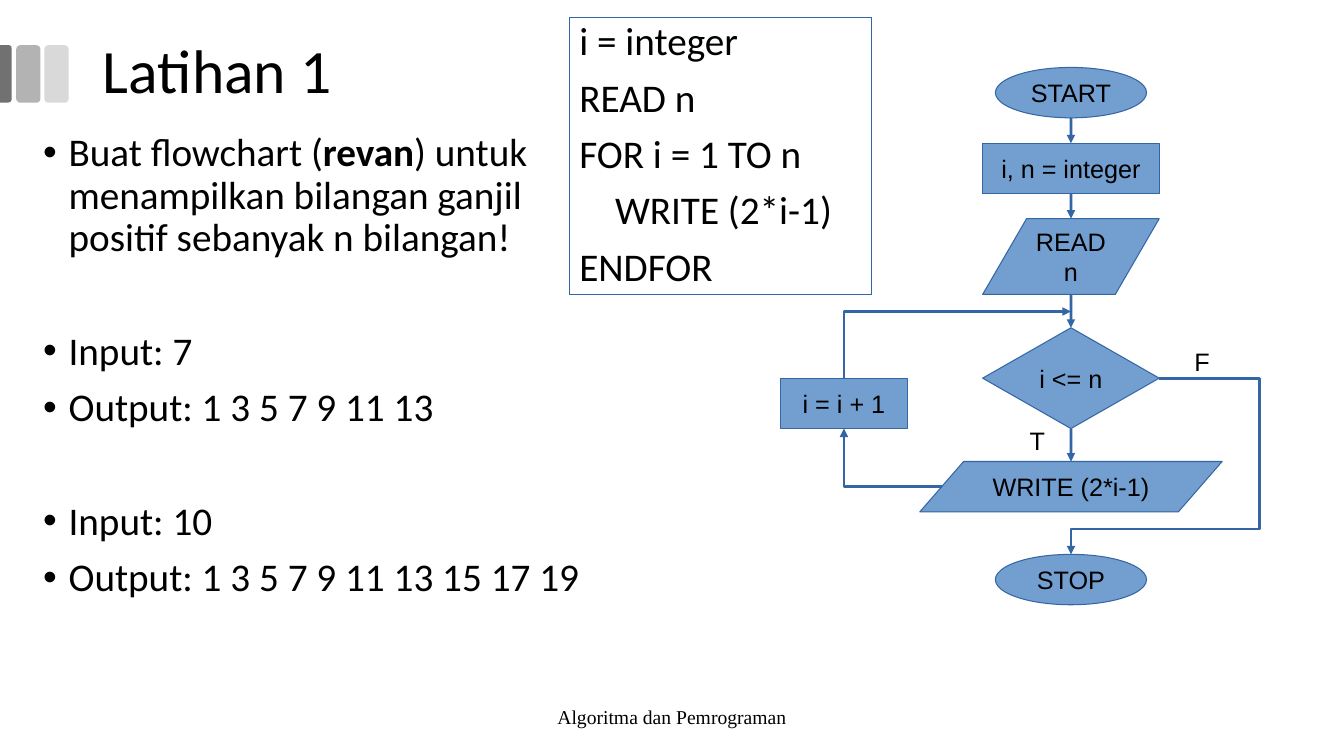
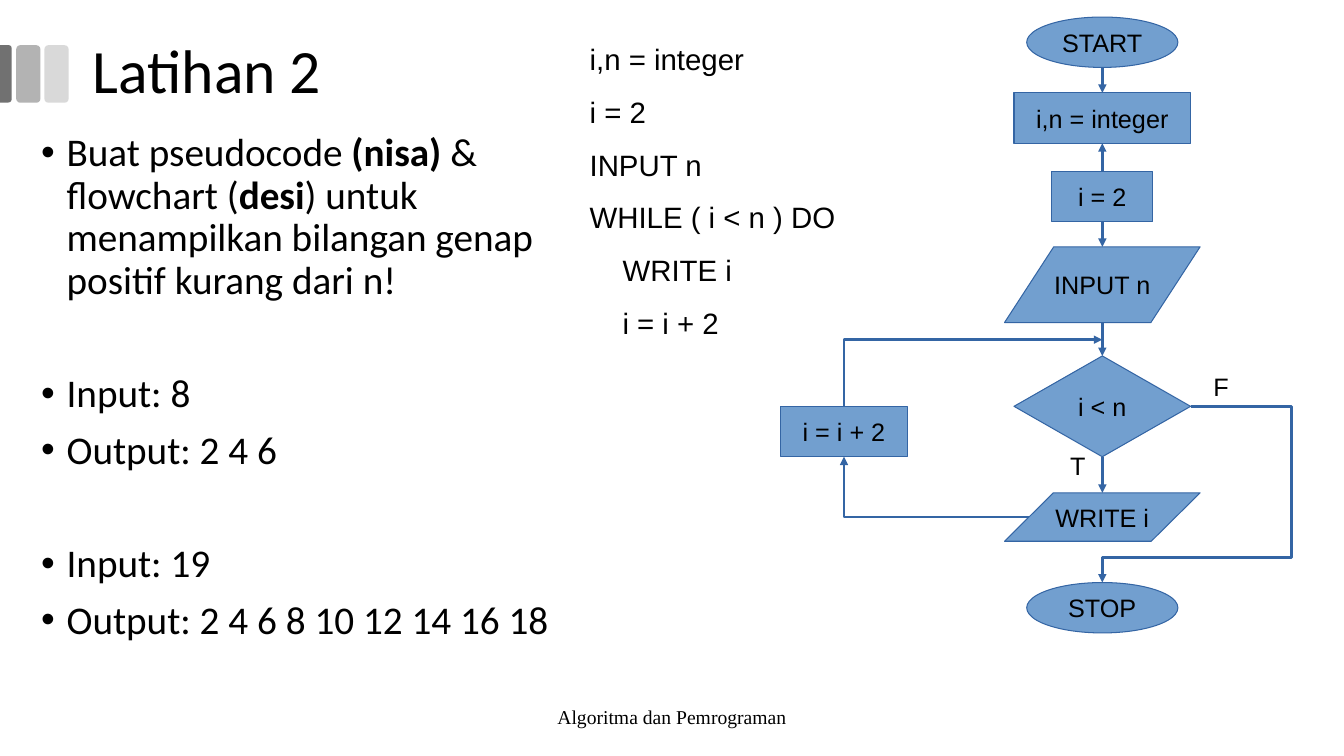
from lxml import etree
from pptx import Presentation
from pptx.dml.color import RGBColor
from pptx.enum.shapes import MSO_CONNECTOR, MSO_SHAPE
from pptx.enum.text import MSO_ANCHOR, MSO_AUTO_SIZE, PP_ALIGN
from pptx.oxml.ns import qn
from pptx.util import Cm, Pt

RECTANGLE = MSO_SHAPE.RECTANGLE
OVAL = MSO_SHAPE.OVAL
DIAMOND = MSO_SHAPE.DIAMOND
PARALLELOGRAM = MSO_SHAPE.PARALLELOGRAM
ROUNDED = MSO_SHAPE.ROUNDED_RECTANGLE
ROUNDED_TOP = MSO_SHAPE.ROUND_2_SAME_RECTANGLE
STRAIGHT = MSO_CONNECTOR.STRAIGHT
ELBOW = MSO_CONNECTOR.ELBOW
LEFT, CENTER = PP_ALIGN.LEFT, PP_ALIGN.CENTER
MIDDLE = MSO_ANCHOR.MIDDLE
NO_FIT = MSO_AUTO_SIZE.NONE

BLACK = "000000"
NODE_FILL = "729FCF"
NODE_LINE = "3465A4"
FOOTER = "Algoritma dan Pemrograman"
TOP_SIDE, BOTTOM_SIDE = 0, 2
GLUED_KINDS = (RECTANGLE, DIAMOND)
STEP_CENTER, STEP_WIDTH, STEP_HEIGHT = 21.27, 3.18, 1.27
EXIT_LANE, EXIT_DROP, MERGE_GAP = 4.76, 0.64, 0.41

EXERCISES = [
    {
        "title": "Latihan 1", "title_left": 2.34, "body_left": 0.84, "body_width": 14.81,
        "body": [("Buat flowchart (|revan|) untuk menampilkan bilangan ganjil positif sebanyak n bilangan!", 10),
                 ("Input: 7", 51), ("Output: 1 3 5 7 9 11 13", 10),
                 ("Input: 10", 51), ("Output: 1 3 5 7 9 11 13 15 17 19", 10)],
        "code": [("i = integer", 0), ("READ n", 0), ("FOR i = 1 TO n", 0),
                 ("WRITE (2*i-1)", 0.9), ("ENDFOR", 0)],
        "code_box": (14.35, 0.43, 7.62, 6.99), "code_font": ("Calibri", 28),
        "code_spacing": (0.9, 10), "framed": True,
        "axis": 26.99, "backward": None,
        "flow": [(OVAL, "START", 1.7, 3.81, 1.27, None),
                 (RECTANGLE, "i, n = integer", 3.61, 4.45, 1.27, None),
                 (PARALLELOGRAM, "READ n", 5.51, 4.45, 1.91, 0.58),
                 (DIAMOND, "i <= n", 8.26, 4.45, 2.54, None),
                 (PARALLELOGRAM, "WRITE (2*i-1)", 11.63, 7.62, 1.27, 0.87),
                 (OVAL, "STOP", 13.97, 3.81, 1.27, None)],
        "step": "i = i + 1",
        "labels": [("T", 25.7, 10.59), ("F", 29.85, 8.59)],
    },
    {
        "title": "Latihan 2", "title_left": 2.08, "body_left": 0.79, "body_width": 13.77,
        "body": [("Buat pseudocode |(nisa)| & flowchart (|desi|) untuk menampilkan bilangan genap positif kurang dari n!", 10),
                 ("Input: 8", 51), ("Output: 2 4 6", 10),
                 ("Input: 19", 51), ("Output: 2 4 6 8 10 12 14 16 18", 10)],
        "code": [("i,n = integer", 0), ("i = 2", 0), ("INPUT n", 0), ("WHILE ( i < n ) DO", 0),
                 ("WRITE i", 0.83), ("i = i + 2", 0.83)],
        "code_box": (14.61, 0.46, 7.62, 9.8), "code_font": ("Arial", 21),
        "code_spacing": (1.5, 0), "framed": False,
        "axis": 27.78, "backward": 1,
        "flow": [(OVAL, "START", 0.43, 3.81, 1.27, None),
                 (RECTANGLE, "i,n = integer", 2.34, 4.45, 1.27, None),
                 (RECTANGLE, "i = 2", 4.32, 2.54, 1.27, None),
                 (PARALLELOGRAM, "INPUT n", 6.22, 4.93, 1.91, 0.65),
                 (DIAMOND, "i < n", 8.97, 4.45, 2.54, None),
                 (PARALLELOGRAM, "WRITE i", 12.42, 4.93, 1.22, 1.01),
                 (OVAL, "STOP", 14.68, 3.81, 1.27, None)],
        "step": "i = i + 2",
        "labels": [("T", 26.72, 11.23), ("F", 30.33, 9.22)],
    },
]


def paint(target, color):
    target.fill.solid()
    target.fill.fore_color.rgb = RGBColor.from_string(color)


def add_arrow(shapes, kind, begin, end, arrow_at="tailEnd", preset=None):
    connector = shapes.add_connector(kind, *map(Cm, begin + end))
    paint(connector.line, NODE_LINE)
    connector.line.width = 0
    properties = connector.element.spPr
    etree.SubElement(properties.find(qn("a:ln")), qn("a:" + arrow_at), type="triangle")
    etree.SubElement(properties, qn("a:effectLst"))
    if preset:
        properties.find(qn("a:prstGeom")).set("prst", preset)
    return connector


presentation = Presentation()
presentation.slide_width = Cm(33.87)
presentation.slide_height = Cm(19.05)
layout = presentation.slide_layouts[5]
styled_frames = []

for exercise in EXERCISES:
    slide = presentation.slides.add_slide(layout)
    shapes = slide.shapes

    title = shapes.title
    title.left, title.top = Cm(exercise["title_left"]), Cm(0.03)
    title.width, title.height = Cm(exercise["body_width"]), Cm(3.66)
    title.text_frame.text = exercise["title"]
    title.text_frame.vertical_anchor = MIDDLE
    title.text_frame.auto_size = NO_FIT
    title.text_frame.paragraphs[0].alignment = LEFT
    title.text_frame.paragraphs[0].line_spacing = 0.9
    styled_frames.append((title.text_frame, "Calibri", 44))

    body = shapes.add_textbox(Cm(exercise["body_left"]), Cm(3.23), Cm(exercise["body_width"]), Cm(12.05))
    body.text_frame.word_wrap = True
    for index, (text, space_before) in enumerate(exercise["body"]):
        paragraph = body.text_frame.paragraphs[0] if index == 0 else body.text_frame.add_paragraph()
        for part, words in enumerate(text.split("|")):
            run = paragraph.add_run()
            run.text = words
            run.font.bold = part % 2 == 1
        paragraph.line_spacing = 0.9
        paragraph.space_before = Pt(space_before)
        properties = paragraph._p.get_or_add_pPr()
        properties.set("marL", str(Cm(0.64)))
        properties.set("indent", str(-Cm(0.64)))
        etree.SubElement(properties, qn("a:buFont"), typeface="Arial")
        etree.SubElement(properties, qn("a:buChar"), char="•")
    styled_frames.append((body.text_frame, "Calibri", 28))

    code = shapes.add_textbox(*map(Cm, exercise["code_box"]))
    code.text_frame.word_wrap = True
    if exercise["framed"]:
        paint(code.line, NODE_LINE)
        code.line.width = 0
    line_spacing, space_before = exercise["code_spacing"]
    code.text_frame.text = "\n".join(text for text, indent in exercise["code"])
    for paragraph, (text, indent) in zip(code.text_frame.paragraphs, exercise["code"]):
        paragraph.line_spacing = line_spacing
        paragraph.space_before = Pt(space_before)
        paragraph._p.get_or_add_pPr().set("marL", str(Cm(indent)))
    styled_frames.append((code.text_frame, *exercise["code_font"]))

    axis, flow = exercise["axis"], exercise["flow"]
    decision_top, decision_width, decision_height = flow[-3][2:5]
    decision_middle = decision_top + decision_height / 2
    step_top = decision_middle
    boxes = [(axis, *node) for node in flow]
    boxes.append((STEP_CENTER, RECTANGLE, exercise["step"], step_top, STEP_WIDTH, STEP_HEIGHT, None))
    nodes = []
    for center, kind, text, top, width, height, slant in boxes:
        node = shapes.add_shape(kind, Cm(center - width / 2), Cm(top), Cm(width), Cm(height))
        node.shadow.inherit = False
        paint(node, NODE_FILL)
        paint(node.line, NODE_LINE)
        node.line.width = 0
        if slant:
            node.adjustments[0] = slant
        node.text_frame.text = text
        node.text_frame.word_wrap = True
        node.text_frame.vertical_anchor = MIDDLE
        node.text_frame.paragraphs[0].alignment = CENTER
        styled_frames.append((node.text_frame, "Arial", 18))
        nodes.append(node)

    for index in range(len(flow) - 2):
        upper, lower = flow[index], flow[index + 1]
        arrow_at = "headEnd" if index == exercise["backward"] else "tailEnd"
        arrow = add_arrow(shapes, STRAIGHT, (axis, upper[2] + upper[4]), (axis, lower[2]), arrow_at)
        if upper[0] in GLUED_KINDS:
            arrow.begin_connect(nodes[index], BOTTOM_SIDE)
        if lower[0] in GLUED_KINDS:
            arrow.end_connect(nodes[index + 1], TOP_SIDE)

    write_top, write_width, write_height, write_slant = flow[-2][2:]
    write_left = axis - write_width / 2 + write_slant * write_height / 2
    add_arrow(shapes, ELBOW, (write_left, write_top + write_height / 2),
              (STEP_CENTER, step_top + STEP_HEIGHT), preset="bentConnector2")
    add_arrow(shapes, ELBOW, (axis, decision_top - MERGE_GAP), (STEP_CENTER, step_top),
              "headEnd", "bentConnector2")

    stop_top = flow[-1][2]
    exit_arrow = add_arrow(shapes, ELBOW, (axis + decision_width / 2, decision_middle),
                           (axis, stop_top), preset="bentConnector4")
    exit_arrow_bends = (1 - EXIT_LANE / (decision_width / 2),
                        1 - EXIT_DROP / (stop_top - decision_middle))
    guides = exit_arrow.element.spPr.find(qn("a:prstGeom")).find(qn("a:avLst"))
    for number, bend in enumerate(exit_arrow_bends, 1):
        etree.SubElement(guides, qn("a:gd"), name=f"adj{number}", fmla=f"val {round(bend * 100000)}")

    for text, left, top in exercise["labels"]:
        label = shapes.add_textbox(Cm(left), Cm(top), Cm(0.89), Cm(0.97))
        label.text_frame.text = text
        styled_frames.append((label.text_frame, "Arial", 18))

    footer = shapes.add_textbox(Cm(11.22), Cm(17.65), Cm(11.43), Cm(1.02))
    footer.text_frame.word_wrap = True
    footer.text_frame.text = FOOTER
    footer.text_frame.paragraphs[0].alignment = CENTER
    styled_frames.append((footer.text_frame, "Times New Roman", 14))

for text_frame, font_name, size in styled_frames:
    for paragraph in text_frame.paragraphs:
        for run in paragraph.runs:
            run.font.name = font_name
            run.font.size = Pt(size)
            paint(run.font, BLACK)

for kind, left, top, width, height, rotation, color in [
    (ROUNDED, 1.12, 1.14, 0.61, 1.45, 0, "D9D9D9"),
    (ROUNDED, 0.41, 1.14, 0.61, 1.45, 0, "B3B3B3"),
    (ROUNDED_TOP, -0.58, 1.71, 1.45, 0.3, 90, "717171"),
]:
    bar = presentation.slides[0].shapes.add_shape(kind, Cm(left), Cm(top), Cm(width), Cm(height))
    bar.shadow.inherit = False
    bar.rotation = rotation
    if kind == ROUNDED_TOP:
        bar.adjustments[0] = 0.29
    paint(bar, color)
    bar.line.fill.background()
    layout.shapes.element.append(bar.element)

presentation.save("out.pptx")
